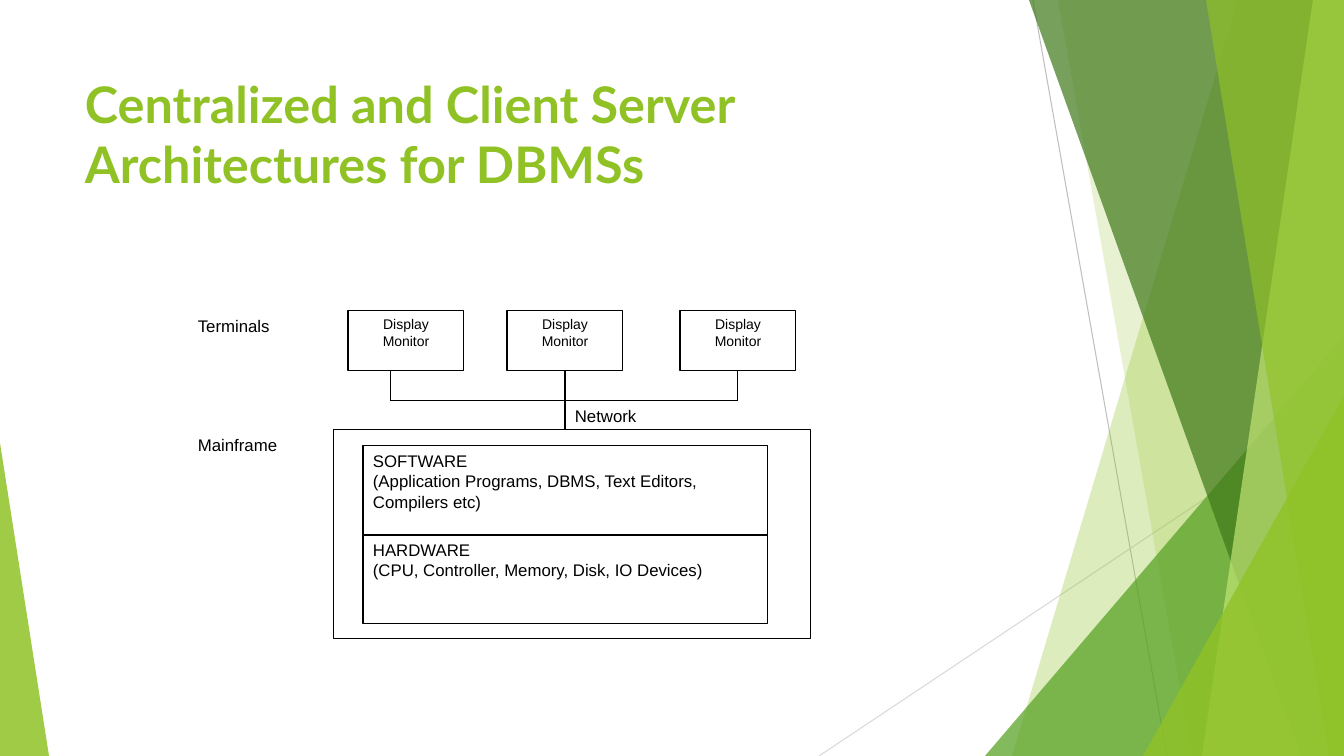
from lxml import etree
from pptx import Presentation
from pptx.dml.color import RGBColor
from pptx.enum.shapes import MSO_CONNECTOR, MSO_SHAPE
from pptx.enum.text import MSO_ANCHOR, PP_ALIGN
from pptx.oxml.ns import qn
from pptx.util import Emu, Pt

STRAIGHT = MSO_CONNECTOR.STRAIGHT
RECT, TRIANGLE = MSO_SHAPE.RECTANGLE, MSO_SHAPE.ISOSCELES_TRIANGLE
TOP = MSO_ANCHOR.TOP
LEFT, CENTER = PP_ALIGN.LEFT, PP_ALIGN.CENTER

W, H = 1344, 756
PX = 12192000 / W
THEME = {
    "green": "90C226", "mid": "54A021", "dark": "3F7819", "light": "C0E474",
    "ink": "000000", "paper": "FFFFFF", "rule": "BFBFBF", "pale_rule": "D9D9D9",
    "line": 0.75, "title": 36, "body": 12, "small": 10,
    "title_font": "Lato", "body_font": "Arial",
}


def color(name):
    return RGBColor.from_string(THEME[name])


def write(sp, lines, size, align=LEFT, font="body_font", ink="ink", bold=False):
    tf = sp.text_frame
    tf.word_wrap = True
    tf.vertical_anchor = TOP
    tf.text = "\n".join(lines)
    for p in tf.paragraphs:
        p.alignment = align
        p.font.name = THEME[font]
        p.font.size = Pt(THEME[size])
        p.font.bold = bold
        p.font.color.rgb = color(ink)


prs = Presentation()
prs.slide_width, prs.slide_height = Emu(round(W * PX)), Emu(round(H * PX))
s = prs.slides.add_slide(prs.slide_layouts[6])
shapes = s.shapes

connectors = []
for ends, tint in [((1033, 0, 1167, H), "rule"), ((W, 406, 819, H), "pale_rule")]:
    c = shapes.add_connector(STRAIGHT, *[Emu(round(v * PX)) for v in ends])
    connectors.append((c, tint))

facets = [
    ("band", (1238, 1012), "green", 30),
    ("band", (1058, 1192), "green", 20),
    ("triangle", (985, 336, 359, 420, 1), "mid", 72),
    ("band", (1029, 1301), "dark", 70),
    ("band", (1313, 1202), "light", 70),
    ("band", (1206, 1329), "green", 65),
    ("triangle", (1143, 396, 201, 360, 1), "green", 80),
    ("triangle", (0, 443, 49, 313, 0), "green", 85),
]
for kind, geometry, tint, opacity in facets:
    if kind == "band":
        top_x, bottom_x = geometry
        fb = shapes.build_freeform(top_x, 0, scale=PX)
        fb.add_line_segments([(W, 0), (W, H), (bottom_x, H)], close=True)
        sp = fb.convert_to_shape()
    else:
        *box, apex = geometry
        sp = shapes.add_shape(TRIANGLE, *[Emu(round(v * PX)) for v in box])
        sp.adjustments[0] = apex
    sp.shadow.inherit = False
    sp.line.fill.background()
    sp.fill.solid()
    sp.fill.fore_color.rgb = color(tint)
    clr = sp._element.spPr.find(f"{qn('a:solidFill')}/{qn('a:srgbClr')}")
    etree.SubElement(clr, qn("a:alpha")).set("val", str(opacity * 1000))

title = shapes.add_textbox(*[Emu(round(v * PX)) for v in (75, 68, 948, 145)])
write(title, ["Centralized and Client Server Architectures for DBMSs"], "title",
      font="title_font", ink="green", bold=True)

monitor = ["Display", "Monitor"]
boxes = [
    ((348, 311, 116, 60), monitor, "small", CENTER),
    ((507, 311, 116, 60), monitor, "small", CENTER),
    ((680, 311, 116, 60), monitor, "small", CENTER),
    ((334, 430, 477, 209), [], "body", LEFT),
    ((363, 446, 405, 89),
     ["SOFTWARE", "(Application Programs, DBMS, Text Editors, Compilers etc)"], "body", LEFT),
    ((363, 535, 405, 89),
     ["HARDWARE", "(CPU, Controller, Memory, Disk, IO Devices)"], "body", LEFT),
]
rects = []
for box, lines, size, align in boxes:
    sp = shapes.add_shape(RECT, *[Emu(round(v * PX)) for v in box])
    sp.shadow.inherit = False
    sp.fill.solid()
    sp.fill.fore_color.rgb = color("paper")
    sp.line.color.rgb = color("ink")
    sp.line.width = Pt(THEME["line"])
    if lines:
        write(sp, lines, size, align)
    rects.append(sp)

wires = [
    ((391, 371, 391, 401), None),
    ((565, 371, 565, 401), rects[1]),
    ((738, 371, 738, 401), rects[2]),
    ((391, 401, 738, 401), None),
    ((565, 401, 565, 430), None),
]
for ends, source in wires:
    c = shapes.add_connector(STRAIGHT, *[Emu(round(v * PX)) for v in ends])
    if source:
        c.begin_connect(source, 2)
    connectors.append((c, "ink"))

for c, tint in connectors:
    c.line.color.rgb = color(tint)
    c.line.width = Pt(THEME["line"])
    etree.SubElement(c._element.spPr, qn("a:effectLst"))

labels = [
    ("Network", (565, 401, 101, 44)),
    ("Terminals", (188, 311, 130, 44)),
    ("Mainframe", (188, 430, 116, 44)),
]
for text, box in labels:
    write(shapes.add_textbox(*[Emu(round(v * PX)) for v in box]), [text], "body")

prs.save("out.pptx")
